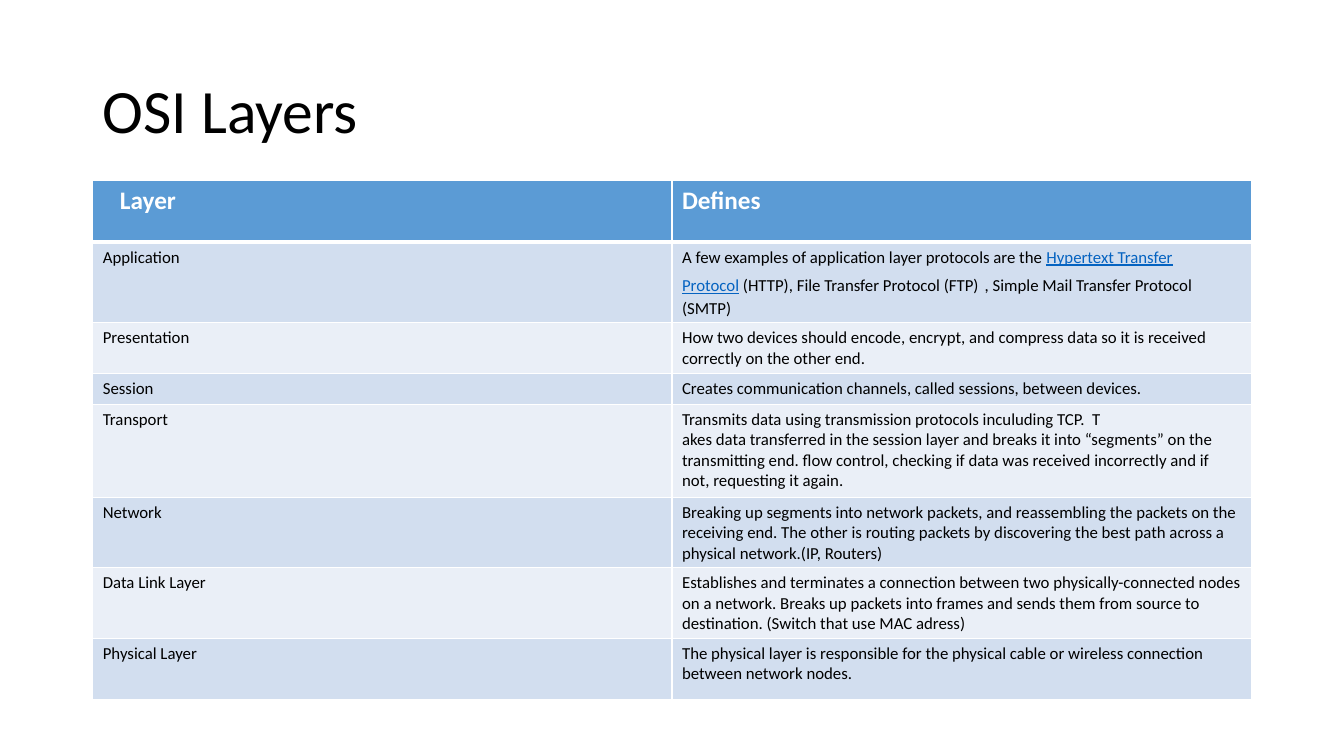
from lxml import etree
from pptx import Presentation
from pptx.dml.color import RGBColor
from pptx.enum.text import MSO_ANCHOR
from pptx.oxml.ns import qn
from pptx.util import Inches, Pt

MIDDLE = MSO_ANCHOR.MIDDLE
FONT = "Calibri"
COLORS = {"text": "000000", "head": "5B9BD5", "odd": "D2DEEF",
          "even": "EAEFF7", "line": "FFFFFF", "link": "0563C1"}
HEADINGS = ("Layer", "Defines")
HEADING_INDENT = (Inches(0.17), 0)

# Each layer: name, row height in inches, paragraphs of (text, size, color key) runs
LAYERS = [
    ("Application", 0.74, [[
        ("A few examples of application layer protocols are the\u00a0", 12, "text"),
        ("Hypertext Transfer Protocol", 12, "link"),
        ("\u00a0(HTTP), File Transfer Protocol (FTP)", 12, "text"),
        (" ", 18, "text"),
        (", Simple Mail Transfer Protocol (SMTP)", 12, "text")]]),
    ("Presentation", 0.49, [[
        ("How two devices should encode, encrypt, and compress data so it is "
         "received correctly on the other end.", 12, "text")]]),
    ("Session", 0.31, [[
        ("Creates communication channels, called sessions, between devices.",
         12, "text")]]),
    ("Transport", 0.92, [
        [("Transmits data using transmission protocols inculuding TCP.  T",
          12, "text")],
        [("akes data transferred in the session layer and breaks it into "
          "“segments” on the transmitting end. flow control, checking if data "
          "was received incorrectly and if not, requesting it again.",
          12, "text")]]),
    ("Network", 0.7, [[
        ("Breaking up segments into network packets, and reassembling the "
         "packets on the receiving end. The other is routing packets by "
         "discovering the best path across a physical network.(IP, Routers)",
         12, "text")]]),
    ("Data Link Layer", 0.51, [[
        ("Establishes and terminates a connection between two "
         "physically-connected nodes on a network. Breaks up packets into "
         "frames and sends them from source to destination. "
         "(Switch that use MAC adress)", 12, "text")]]),
    ("Physical Layer", 0.61, [[
        ("The physical layer is responsible for the physical cable or wireless "
         "connection between network nodes.", 12, "text")]]),
]
HEAD_HEIGHT = 0.61


def rgb(key):
    return RGBColor.from_string(COLORS[key])


def add_run(p, text, size, color, bold=False):
    r = p.add_run()
    r.text = text
    r.font.name = FONT
    r.font.size = Pt(size)
    r.font.bold = bold
    r.font.underline = color == "link"
    r.font.color.rgb = rgb(color)


def style_cell(cell, fill, bottom=1):
    tc_pr = cell._tc.get_or_add_tcPr()
    # Borders come before the fill in the cell properties
    for side, width in (("L", 1), ("R", 1), ("T", 1), ("B", bottom)):
        ln = etree.SubElement(tc_pr, qn(f"a:ln{side}"), w=str(Pt(width)))
        solid = etree.SubElement(ln, qn("a:solidFill"))
        etree.SubElement(solid, qn("a:srgbClr"), val=COLORS["line"])
    cell.fill.solid()
    cell.fill.fore_color.rgb = rgb(fill)


def add_title(slide, box, text):
    tf = slide.shapes.add_textbox(*box).text_frame
    tf.word_wrap = True
    tf.vertical_anchor = MIDDLE
    p = tf.paragraphs[0]
    p.line_spacing = 0.9
    add_run(p, text, 44, "text")


def add_layer_table(slide, box):
    left, top, width, height = box
    frame = slide.shapes.add_table(len(LAYERS) + 1, len(HEADINGS), *box)
    table = frame.table
    for column in table.columns:
        column.width = width // len(HEADINGS)

    # Header row
    table.rows[0].height = Inches(HEAD_HEIGHT)
    for cell, text, indent in zip(table.rows[0].cells, HEADINGS, HEADING_INDENT):
        style_cell(cell, "head", bottom=3)
        cell.margin_left += indent
        add_run(cell.text_frame.paragraphs[0], text, 18, "line", bold=True)

    # One row per layer, in alternating bands
    for i, (name, row_height, paragraphs) in enumerate(LAYERS, 1):
        row = table.rows[i]
        row.height = Inches(row_height)
        for cell, content in zip(row.cells, ([[(name, 12, "text")]], paragraphs)):
            style_cell(cell, "odd" if i % 2 else "even")
            tf = cell.text_frame
            for j, runs in enumerate(content):
                p = tf.add_paragraph() if j else tf.paragraphs[0]
                for run in runs:
                    add_run(p, *run)
    frame.height = height


prs = Presentation()
prs.slide_width, prs.slide_height = Inches(13.33), Inches(7.5)
W, H = prs.slide_width, prs.slide_height
slide = prs.slides.add_slide(prs.slide_layouts[6])

margin = Inches(0.92)
content_width = W - 2 * margin
add_title(slide, (margin, int(H * 0.053), content_width, int(H * 0.193)), "OSI Layers")
add_layer_table(slide, (margin, int(H * 0.239), content_width, int(H * 0.687)))

prs.save("out.pptx")
